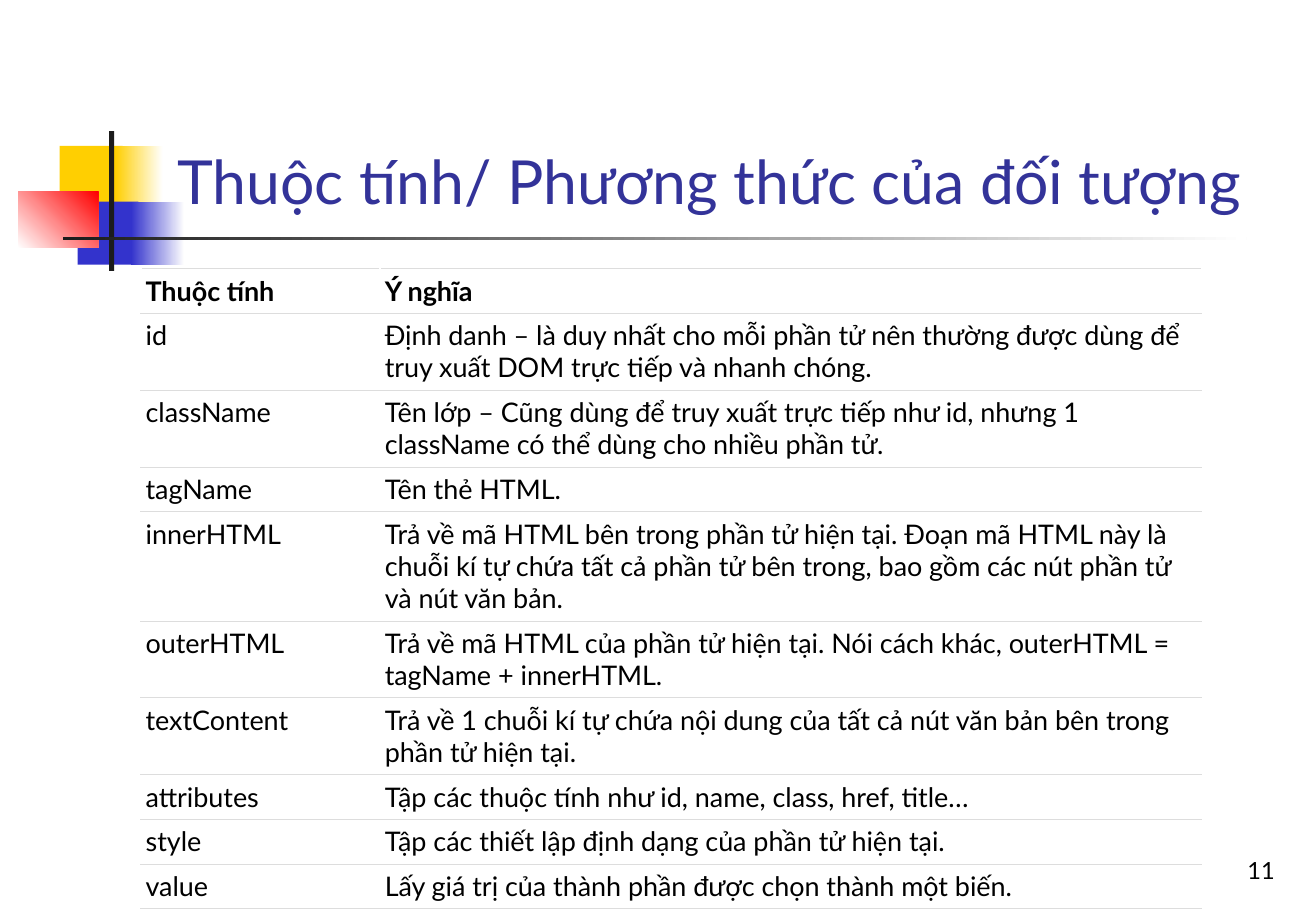
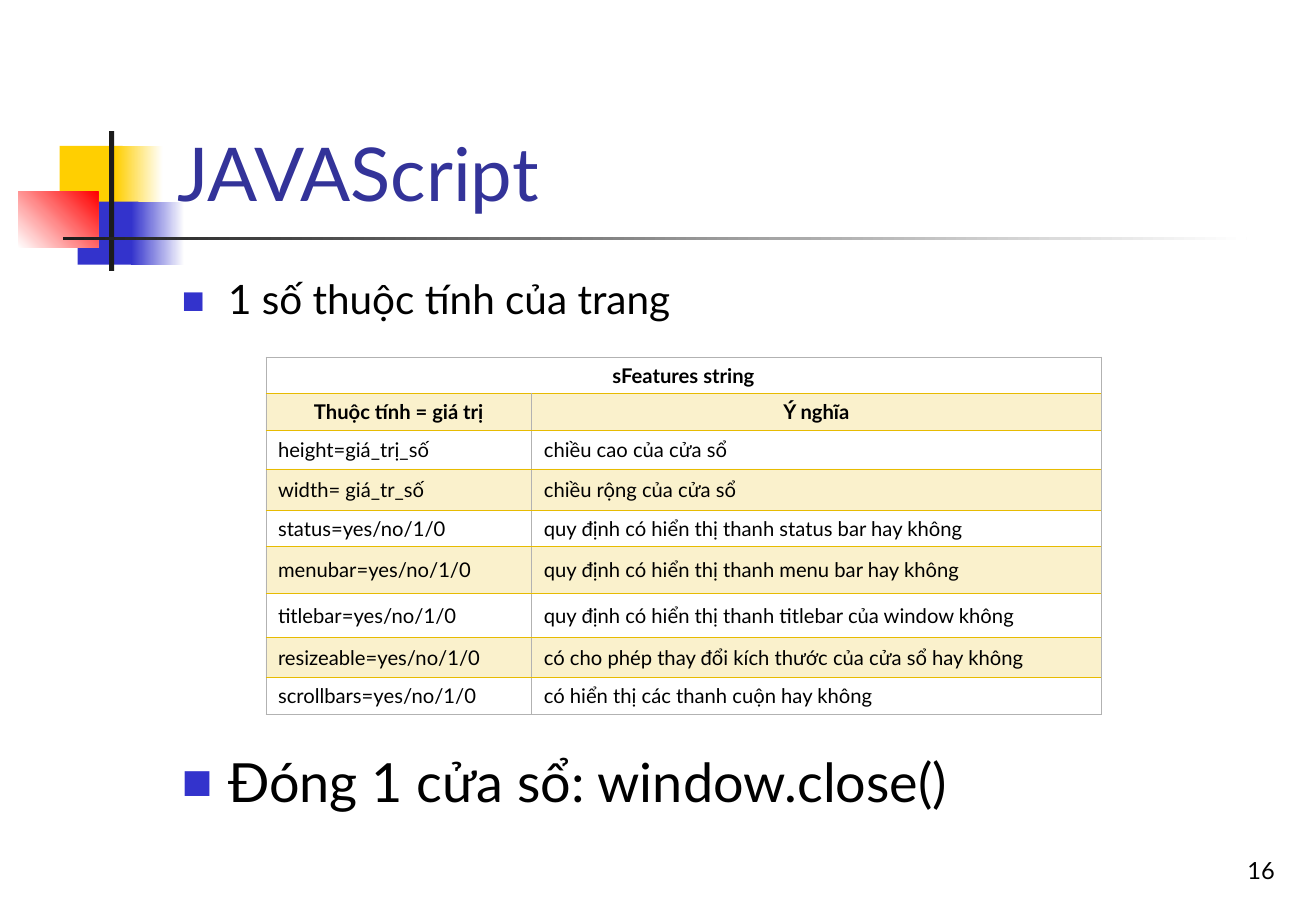
from lxml import etree
from pptx import Presentation
from pptx.dml.color import RGBColor
from pptx.enum.shapes import MSO_SHAPE
from pptx.enum.text import MSO_ANCHOR as ANCHOR, MSO_AUTO_SIZE as AUTO_SIZE, PP_ALIGN as ALIGN
from pptx.oxml import parse_xml
from pptx.oxml.ns import nsdecls, qn
from pptx.util import Inches, Pt

FONT = "Lato"
BLACK, WHITE, TITLE_BLUE = "000000", "FFFFFF", "333399"
YELLOW, BLUE, RED, DARK = "FFCF01", "3333CC", "FF0000", "1C1C1C"
GOLD, RULE_GREY, EDGE_GREY = "E7BB01", "DDDDDD", "B2B2B2"


def rgb(code):
    return RGBColor.from_string(code)


def write(paragraph, text, size, color=BLACK, bold=False, align=ALIGN.LEFT):
    run = paragraph.add_run()
    run.text = text
    style = {"name": FONT, "size": Pt(size), "bold": bold}
    for attribute, value in style.items():
        setattr(run.font, attribute, value)
    run.font.color.rgb = rgb(color)
    paragraph.alignment = align


prs = Presentation()
prs.slide_width, prs.slide_height = Inches(10.84), Inches(7.5)
title_only = prs.slide_layouts[5]

layout_title = title_only.placeholders[0]
layout_title.left, layout_title.top = Inches(1.36), Inches(0.23)
layout_title.width, layout_title.height = Inches(9.23), Inches(1.6)

headings = [("Thuộc tính/ Phương thức của đối tượng", 36, "11"), ("JAVAScript", 44, "16")]
slides = []
for heading, heading_size, number in headings:
    slide = prs.slides.add_slide(title_only)
    slides.append(slide)
    title_frame = slide.shapes.title.text_frame
    title_frame.vertical_anchor = ANCHOR.BOTTOM
    title_frame.auto_size = AUTO_SIZE.NONE
    write(title_frame.paragraphs[0], heading, heading_size, TITLE_BLUE)

    number_frame = slide.shapes.add_textbox(
        Inches(8.34), Inches(6.83), Inches(2.26), Inches(0.5)).text_frame
    number_frame.word_wrap = True
    number_frame.vertical_anchor = ANCHOR.BOTTOM
    write(number_frame.paragraphs[0], number, 14, align=ALIGN.RIGHT)

# The ornament is drawn once, then moved into the layout behind its placeholders.
# Each part: left, top, width, height, colours from start to end, angle.
ornament = [
    (0.49, 1.2, 0.52, 0.52, [YELLOW], 0),
    (0.95, 1.2, 0.39, 0.52, [YELLOW, WHITE], 0),
    (0.64, 1.66, 0.5, 0.52, [BLUE], 0),
    (1.08, 1.66, 0.44, 0.52, [BLUE, WHITE], 0),
    (0.15, 1.58, 0.66, 0.46, [WHITE, RED], 45),
    (0.9, 1.08, 0.04, 1.15, [DARK], 0),
    (0.52, 1.95, 9.75, 0.03, [DARK, WHITE], 0),
]
for position, (left, top, width, height, colors, angle) in enumerate(ornament, start=2):
    block = slides[0].shapes.add_shape(
        MSO_SHAPE.RECTANGLE, Inches(left), Inches(top), Inches(width), Inches(height))
    block.shadow.inherit = False
    block.line.fill.background()
    if len(colors) == 1:
        block.fill.solid()
        block.fill.fore_color.rgb = rgb(colors[0])
    else:
        block.fill.gradient()
        block.fill.gradient_angle = angle
        for stop, color, place in zip(block.fill.gradient_stops, colors, (0, 1)):
            stop.color.rgb = rgb(color)
            stop.position = place
    title_only.shapes.element.insert(position, block.element)

property_rows = [
    ("Thuộc tính", "Ý nghĩa"),
    ("id", "Định danh – là duy nhất cho mỗi phần tử nên thường được dùng để "
           "truy xuất DOM trực tiếp và nhanh chóng."),
    ("className", "Tên lớp – Cũng dùng để truy xuất trực tiếp như id, nhưng 1 "
                  "className có thể dùng cho nhiều phần tử."),
    ("tagName", "Tên thẻ HTML."),
    ("innerHTML", "Trả về mã HTML bên trong phần tử hiện tại. Đoạn mã HTML này là chuỗi kí tự "
                  "chứa tất cả phần tử bên trong, bao gồm các nút phần tử và nút văn bản."),
    ("outerHTML", "Trả về mã HTML của phần tử hiện tại. Nói cách khác, outerHTML = "
                  "tagName + innerHTML."),
    ("textContent", "Trả về 1 chuỗi kí tự chứa nội dung của tất cả nút văn bản bên trong "
                    "phần tử hiện tại."),
    ("attributes", "Tập các thuộc tính như id, name, class, href, title…"),
    ("style", "Tập các thiết lập định dạng của phần tử hiện tại."),
    ("value", "Lấy giá trị của thành phần được chọn thành một biến."),
]
feature_rows = [
    ("sFeatures string", ""),
    ("Thuộc tính = giá trị", "Ý nghĩa"),
    ("height=giá_trị_số", "chiều cao của cửa sổ"),
    ("width= giá_tr_số", "chiều rộng của cửa sổ"),
    ("status=yes/no/1/0", "quy định có hiển thị thanh status bar hay không"),
    ("menubar=yes/no/1/0", "quy định có hiển thị thanh menu bar hay không"),
    ("titlebar=yes/no/1/0", "quy định có hiển thị thanh titlebar của window không"),
    ("resizeable=yes/no/1/0", "có cho phép thay đổi kích thước của cửa sổ hay không"),
    ("scrollbars=yes/no/1/0", "có hiển thị các thanh cuộn hay không"),
]
tables = [
    {"rows": property_rows, "at": (1.16, 2.21), "widths": [1.97, 6.77],
     "heights": [0.34, 0.63, 0.63, 0.34, 0.88, 0.61, 0.61, 0.35, 0.35, 0.35],
     "size": 16, "headers": 1, "header_align": ALIGN.LEFT, "margin": 0.04,
     "header_anchor": ANCHOR.BOTTOM, "anchor": ANCHOR.TOP, "banded": False},
    {"rows": feature_rows, "at": (2.19, 2.94), "widths": [2.19, 4.69],
     "heights": [0.3, 0.3, 0.32, 0.34, 0.3, 0.38, 0.37, 0.33, 0.3],
     "size": 12, "headers": 2, "header_align": ALIGN.CENTER, "margin": 0.1,
     "header_anchor": ANCHOR.MIDDLE, "anchor": ANCHOR.MIDDLE, "banded": True},
]
for slide, look in zip(slides, tables):
    rows, banded = look["rows"], look["banded"]
    left, top = look["at"]
    table = slide.shapes.add_table(
        len(rows), 2, Inches(left), Inches(top),
        Inches(sum(look["widths"])), Inches(sum(look["heights"]))).table
    table.first_row = table.horz_banding = False
    for column, width in zip(table.columns, look["widths"]):
        column.width = Inches(width)
    for row, height in zip(table.rows, look["heights"]):
        row.height = Inches(height)
    if banded:
        table.cell(0, 0).merge(table.cell(0, 1))

    for r, texts in enumerate(rows):
        header = r < look["headers"]
        if banded:
            top_line = (GOLD, 0.96 if r == 1 else 0.45) if r else (EDGE_GREY, 0.45)
            bottom_line = (GOLD, 0.96 if r == 0 else 0.45)
            if r == len(rows) - 1:
                bottom_line = (EDGE_GREY, 0.45)
            borders = {"lnL": (EDGE_GREY, 0.45), "lnR": (EDGE_GREY, 0.45),
                       "lnT": top_line, "lnB": bottom_line}
        else:
            borders = {"lnT": (RULE_GREY, 0.34), "lnB": (RULE_GREY, 0.34)}

        for c, text in enumerate(texts):
            cell = table.cell(r, c)
            cell.margin_left = cell.margin_right = Inches(look["margin"])
            cell.margin_top = cell.margin_bottom = Inches(0.05)
            cell.vertical_anchor = look["header_anchor"] if header else look["anchor"]
            if text:
                write(cell.text_frame.paragraphs[0], text, look["size"], bold=header,
                      align=look["header_align"] if header else ALIGN.LEFT)
            properties = cell._tc.get_or_add_tcPr()
            for side, (color, weight) in borders.items():
                properties.append(parse_xml(
                    f'<a:{side} {nsdecls("a")} w="{int(Pt(weight))}"><a:solidFill>'
                    f'<a:srgbClr val="{color}"/></a:solidFill></a:{side}>'))
            tinted = banded and r % 2 == 1
            cell.fill.solid()
            cell.fill.fore_color.rgb = rgb(GOLD if tinted else WHITE)
            if tinted:
                tint = properties.find(qn("a:solidFill")).find(qn("a:srgbClr"))
                etree.SubElement(tint, qn("a:alpha")).set("val", "20000")

# The second point stands below the table.
points = [("1 số thuộc tính của trang", 24, 6), ("Đóng 1 cửa sổ: window.close()", 32, 252)]
points_frame = slides[1].shapes.add_textbox(
    Inches(1.4), Inches(2.21), Inches(9.21), Inches(4.5)).text_frame
points_frame.word_wrap = True
for index, (text, size, gap) in enumerate(points):
    point = points_frame.add_paragraph() if index else points_frame.paragraphs[0]
    write(point, text, size)
    point.space_before = Pt(gap)
    bullet = point._p.get_or_add_pPr()
    bullet.set("marL", str(Inches(0.38)))
    bullet.set("indent", str(-Inches(0.38)))
    for tag in (f'<a:buClr {nsdecls("a")}><a:srgbClr val="{BLUE}"/></a:buClr>',
                f'<a:buSzPct {nsdecls("a")} val="60000"/>',
                f'<a:buFont {nsdecls("a")} typeface="{FONT}"/>',
                f'<a:buChar {nsdecls("a")} char="■"/>'):
        bullet.append(parse_xml(tag))

prs.save("out.pptx")
